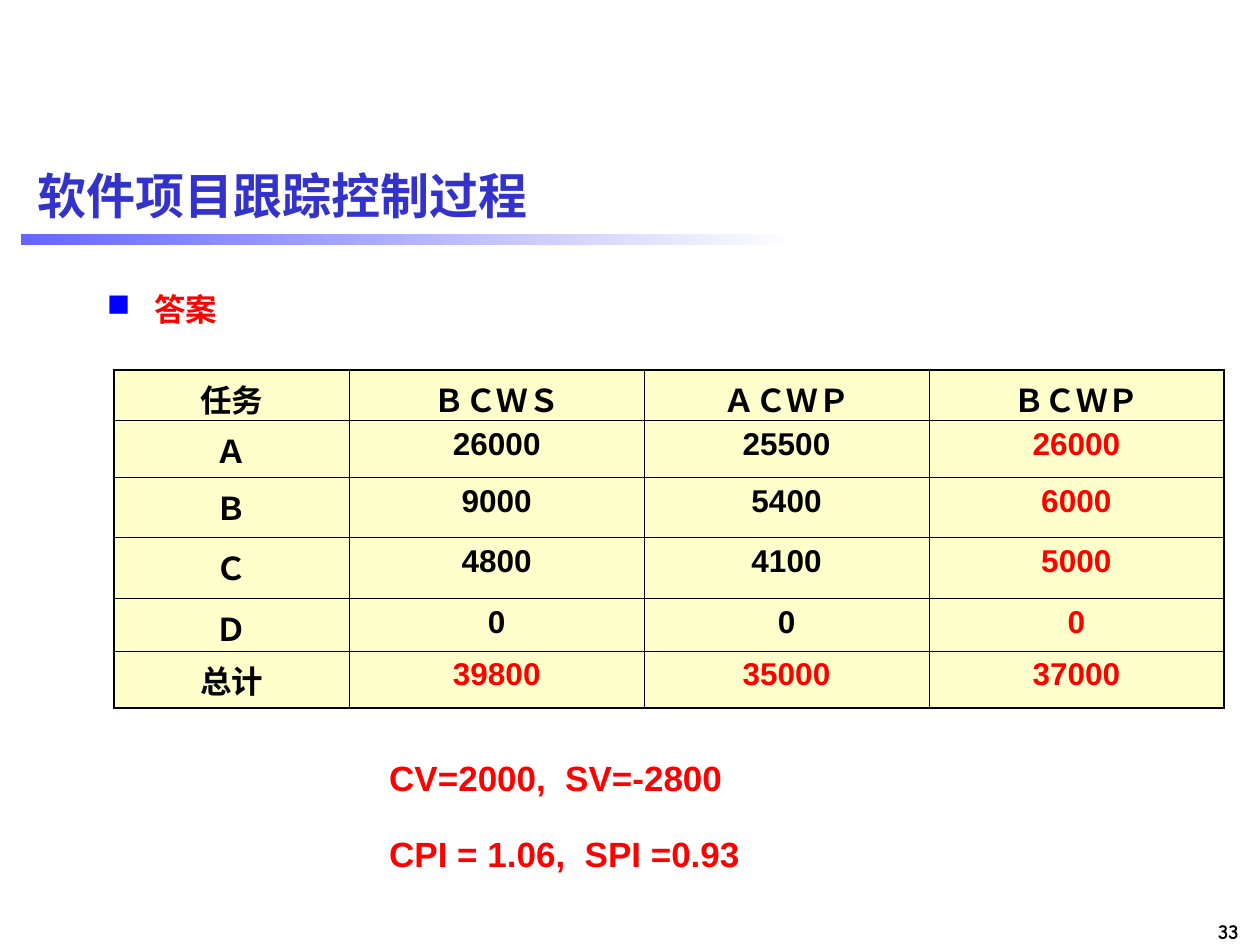
from dataclasses import dataclass

from lxml.etree import SubElement
from pptx import Presentation
from pptx.dml.color import RGBColor as Color
from pptx.enum.shapes import MSO_SHAPE as Shape
from pptx.enum.text import MSO_ANCHOR as Anchor, PP_ALIGN as Align
from pptx.oxml.ns import qn
from pptx.util import Pt


@dataclass(frozen=True)
class Theme:
    title: str = "3333CC"
    text: str = "000000"
    answer: str = "FF0000"
    bullet: str = "0000FF"
    cell: str = "FFFFCC"
    bar_start: str = "6666FF"
    bar_end: str = "FFFFFF"
    latin: str = "Arial"
    chinese: str = "Noto Sans CJK SC"
    number: str = "Comic Neue"
    title_size: float = 28
    formula_size: float = 20
    body_size: float = 18
    number_size: float = 12
    thin: float = 0.45
    thick: float = 1.08


THEME = Theme()
COLUMNS = (134.64, 168.48, 162.72, 168.48)
ROWS = (28.8, 32.4, 34.56, 34.56, 30.24, 32.4)
EARNED_VALUE = (
    ("任务", "ＢＣＷＳ", "ＡＣＷＰ", "ＢＣＷＰ"),
    ("Ａ", "26000", "25500", "26000"),
    ("Ｂ", "9000", "5400", "6000"),
    ("Ｃ", "4800", "4100", "5000"),
    ("Ｄ", "0", "0", "0"),
    ("总计", "39800", "35000", "37000"),
)
FORMULAS = (("CV=2000,\tSV=-2800", 100.6), ("CPI = 1.06,\tSPI =0.93", 111.7))


def write(para, text, size=THEME.body_size, color=THEME.text,
          font=THEME.latin, align=Align.LEFT):
    para.alignment = align
    span = para.add_run()
    span.text = text
    span.font.size = Pt(size)
    span.font.bold = True
    span.font.name = font
    span.font.color.rgb = Color.from_string(color)
    SubElement(span.font._element, qn("a:ea"), typeface=THEME.chinese)


def add_box(page, left, top, width, height):
    frame = page.shapes.add_textbox(Pt(left), Pt(top), Pt(width), Pt(height)).text_frame
    frame.word_wrap = True
    return frame


def set_bullet(para, char, indent):
    props = para._p.get_or_add_pPr()
    props.set("marL", str(Pt(indent)))
    props.set("indent", str(-Pt(indent)))
    color = SubElement(props, qn("a:buClr"))
    SubElement(color, qn("a:srgbClr"), val=THEME.bullet)
    SubElement(props, qn("a:buChar"), char=char)


def set_tab(para, position):
    tabs = SubElement(para._p.get_or_add_pPr(), qn("a:tabLst"))
    SubElement(tabs, qn("a:tab"), pos=str(Pt(position)), algn="l")


def set_borders(cell, outer):
    """Draw all four sides, thick where outer is true (left, right, top, bottom)."""
    props = cell._tc.get_or_add_tcPr()
    for index, (side, thick) in enumerate(zip("LRTB", outer)):
        width = THEME.thick if thick else THEME.thin
        line = props.makeelement(qn(f"a:ln{side}"), {"w": str(Pt(width))})
        fill = SubElement(line, qn("a:solidFill"))
        SubElement(fill, qn("a:srgbClr"), val=THEME.text)
        props.insert(index, line)


def add_title(page, text):
    title = page.shapes.title
    title.left, title.top, title.width, title.height = Pt(14.4), Pt(82.8), Pt(692), Pt(56.9)
    title.text_frame.vertical_anchor = Anchor.MIDDLE
    write(title.text_frame.paragraphs[0], text, THEME.title_size, THEME.title)


def add_title_bar(page):
    bar = page.shapes.add_shape(Shape.RECTANGLE, Pt(12), Pt(134), Pt(444), Pt(6))
    bar.shadow.inherit = False
    bar.line.fill.background()
    bar.fill.gradient()
    bar.fill.gradient_angle = 0
    for stop, color in zip(bar.fill.gradient_stops, (THEME.bar_start, THEME.bar_end)):
        stop.color.rgb = Color.from_string(color)


def add_value_table(page):
    table = page.shapes.add_table(len(ROWS), len(COLUMNS), Pt(65), Pt(211.5),
                                  Pt(sum(COLUMNS)), Pt(sum(ROWS))).table
    table.first_row = table.horz_banding = False
    for column, width in zip(table.columns, COLUMNS):
        column.width = Pt(width)
    for row, height in zip(table.rows, ROWS):
        row.height = Pt(height)
    last_row, last_column = len(ROWS) - 1, len(COLUMNS) - 1
    for r, values in enumerate(EARNED_VALUE):
        for c, value in enumerate(values):
            cell = table.cell(r, c)
            cell.fill.solid()
            cell.fill.fore_color.rgb = Color.from_string(THEME.cell)
            solved = r > 0 and c > 0 and (r == last_row or c == last_column)
            write(cell.text_frame.paragraphs[0], value, align=Align.CENTER,
                  color=THEME.answer if solved else THEME.text)
            set_borders(cell, (c == 0, c == last_column, r == 0, r == last_row))


def add_formulas(page):
    frame = add_box(page, 139, 425, 360, 75)
    frame.margin_left = Pt(83.4)
    frame.margin_top = frame.margin_right = frame.margin_bottom = 0
    for index, (text, tab) in enumerate(FORMULAS):
        para = frame.add_paragraph() if index else frame.paragraphs[0]
        para.line_spacing = 1.3
        if index:
            para.space_before = Pt(12.5)
        set_tab(para, tab)
        write(para, text, THEME.formula_size, THEME.answer)


def main():
    deck = Presentation()
    deck.slide_width, deck.slide_height = Pt(720), Pt(540)
    page = deck.slides.add_slide(deck.slide_layouts[5])
    add_title_bar(page)
    add_title(page, "软件项目跟踪控制过程")
    answer = add_box(page, 54, 162, 646.5, 378).paragraphs[0]
    set_bullet(answer, "■", 27)
    write(answer, "答案", color=THEME.answer, font=THEME.chinese)
    add_value_table(page)
    add_formulas(page)
    number = add_box(page, 648.7, 521.3, 66.2, 21.6).paragraphs[0]
    write(number, "33", THEME.number_size, font=THEME.number, align=Align.RIGHT)
    deck.save("out.pptx")


if __name__ == "__main__":
    main()
